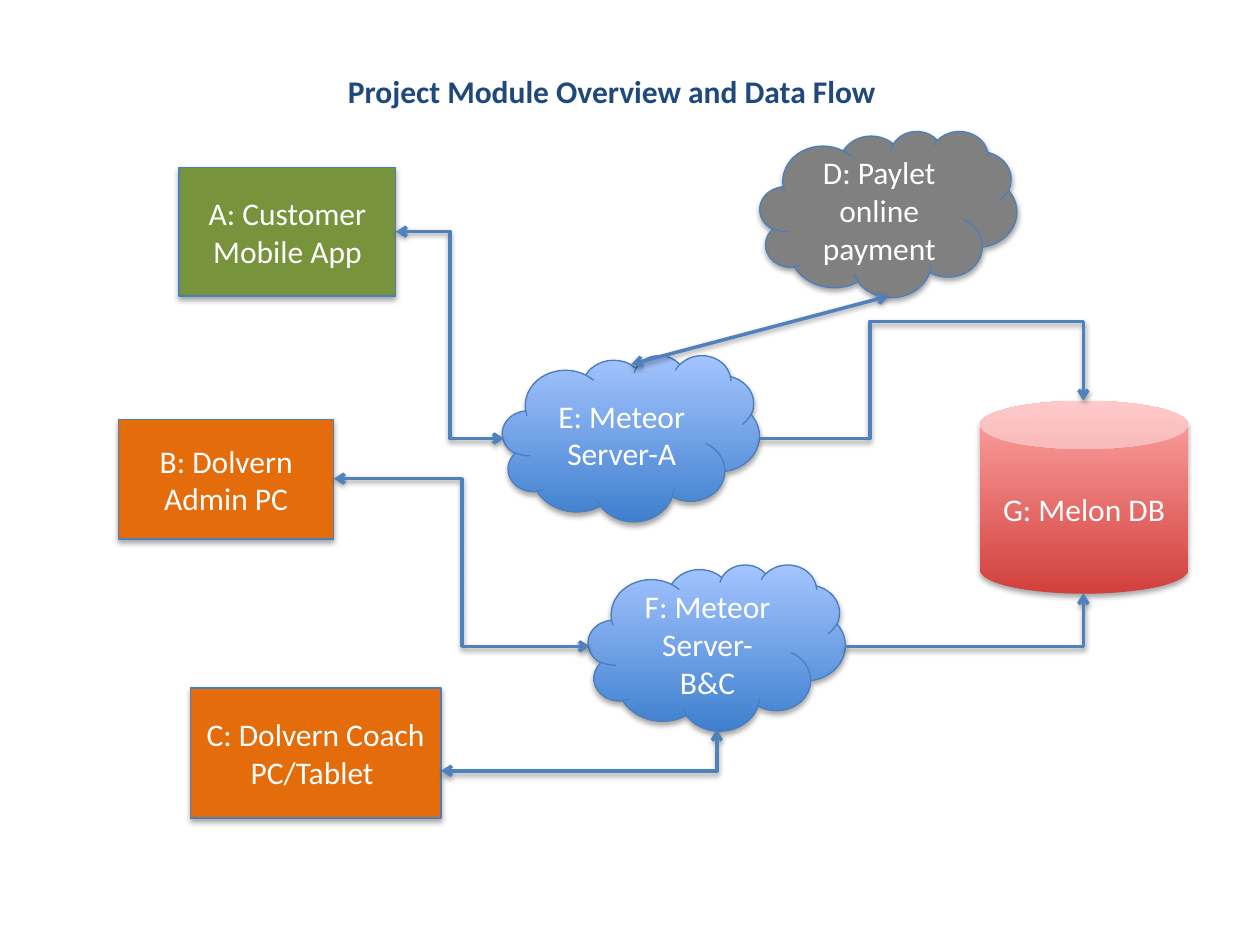
from lxml.etree import SubElement
from pptx import Presentation
from pptx.dml.color import RGBColor
from pptx.enum.shapes import MSO_CONNECTOR, MSO_SHAPE
from pptx.enum.text import MSO_ANCHOR, MSO_AUTO_SIZE, PP_ALIGN
from pptx.oxml.ns import qn
from pptx.util import Cm, Pt

NAVY = RGBColor(0x1F, 0x49, 0x7D)
WHITE = RGBColor(0xFF, 0xFF, 0xFF)
GREEN = RGBColor(0x77, 0x93, 0x3C)
ORANGE = RGBColor(0xE4, 0x6C, 0x0A)
GRAY = RGBColor(0x80, 0x80, 0x80)
EDGE = RGBColor(0x4B, 0x7E, 0xBC)
ARROW = RGBColor(0x4F, 0x81, 0xBD)
BLUES = (RGBColor(0x3F, 0x80, 0xCE), RGBColor(0xA4, 0xC4, 0xFF))
REDS = (RGBColor(0xD1, 0x40, 0x3C), RGBColor(0xFF, 0xA6, 0xA5))


def style_text(frame, color, bold=False):
    para = frame.paragraphs[0]
    para.alignment = PP_ALIGN.CENTER
    font = para.runs[0].font
    font.name, font.size, font.bold = "Calibri", Pt(18), bold
    font.color.rgb = color


def add_shadow(effects, dist, alpha):
    shade = SubElement(effects, qn("a:outerShdw"), blurRad="40000", dist=str(dist),
                       dir="5400000", rotWithShape="0")
    black = SubElement(shade, qn("a:srgbClr"), val="000000")
    SubElement(black, qn("a:alpha"), val=str(alpha * 1000))


deck = Presentation()
deck.slide_width, deck.slide_height = Cm(25.4), Cm(19.05)
slide = deck.slides.add_slide(deck.slide_layouts[5])

# Title
title = slide.shapes.title
title.left, title.top, title.width, title.height = Cm(5.26), Cm(1.32), Cm(14.15), Cm(1.02)
frame = title.text_frame
frame.text = "Project Module Overview and Data Flow"
frame.auto_size = MSO_AUTO_SIZE.NONE
frame.vertical_anchor = MSO_ANCHOR.MIDDLE
style_text(frame, NAVY, True)

# Modules: text, shape, fill, left, top, width, height
CLOUD = (5.18, 3.35)
nodes = [
    ("G: Melon DB", MSO_SHAPE.CAN, REDS, 19.76, 8.08, 4.19, 3.89),
    ("F: Meteor Server-B&C", MSO_SHAPE.CLOUD, BLUES, 11.86, 11.38, *CLOUD),
    ("A: Customer Mobile App", MSO_SHAPE.RECTANGLE, GREEN, 3.61, 3.38, 4.37, 2.59),
    ("C: Dolvern Coach PC/Tablet ", MSO_SHAPE.RECTANGLE, ORANGE, 3.84, 13.87, 5.05, 2.62),
    ("B: Dolvern Admin PC", MSO_SHAPE.RECTANGLE, ORANGE, 2.39, 8.46, 4.34, 2.41),
    ("D: Paylet online payment", MSO_SHAPE.CLOUD, GRAY, 15.32, 2.64, *CLOUD),
    ("E: Meteor Server-A", MSO_SHAPE.CLOUD, BLUES, 10.13, 7.16, *CLOUD),
]
for text, kind, paint, *box in nodes:
    node = slide.shapes.add_shape(kind, *[Cm(n) for n in box])
    if isinstance(paint, RGBColor):
        node.fill.solid()
        node.fill.fore_color.rgb = paint
    else:
        node.fill.gradient()
        node.fill.gradient_angle = 90
        for stop, color in zip(node.fill.gradient_stops, paint):
            stop.color.rgb = color
    if kind == MSO_SHAPE.CAN:
        node.line.fill.background()
    else:
        node.line.color.rgb = EDGE
        node.line.width = Pt(0.75)
    node.shadow.inherit = False
    add_shadow(node.element.spPr.find(qn("a:effectLst")), 23000, 35)
    node.text_frame.text = text
    node.text_frame.word_wrap = True
    style_text(node.text_frame, WHITE)

# Data flows: preset, both ways, adjustments, start and end
flows = [
    ("line", True, (), 12.73, 7.34, 17.91, 5.97),               # E - D
    ("bentConnector2", False, (), 17.04, 13.03, 21.84, 11.96),  # F - G
    ("bentConnector4", False, (34000, 310100), 15.32, 8.84, 21.84, 8.08),  # E - G
    ("bentConnector3", True, (), 7.98, 4.67, 10.16, 8.84),      # A - E
    ("bentConnector3", True, (), 6.73, 9.65, 11.89, 13.03),     # B - F
    ("bentConnector2", True, (), 8.89, 15.54, 14.45, 14.71),    # C - F
]
for preset, both, adjust, *ends in flows:
    kind = MSO_CONNECTOR.STRAIGHT if preset == "line" else MSO_CONNECTOR.ELBOW
    flow = slide.shapes.add_connector(kind, *[Cm(n) for n in ends])
    flow.line.color.rgb = ARROW
    flow.line.width = Pt(2)
    props = flow.element.spPr
    shape = props.find(qn("a:prstGeom"))
    shape.set("prst", preset)
    for num, value in enumerate(adjust, 1):
        SubElement(shape.find(qn("a:avLst")), qn("a:gd"), name=f"adj{num}", fmla=f"val {value}")
    line = props.find(qn("a:ln"))
    if both:
        SubElement(line, qn("a:headEnd"), type="arrow")
    SubElement(line, qn("a:tailEnd"), type="arrow")
    add_shadow(SubElement(props, qn("a:effectLst")), 20000, 38)

deck.save("out.pptx")
